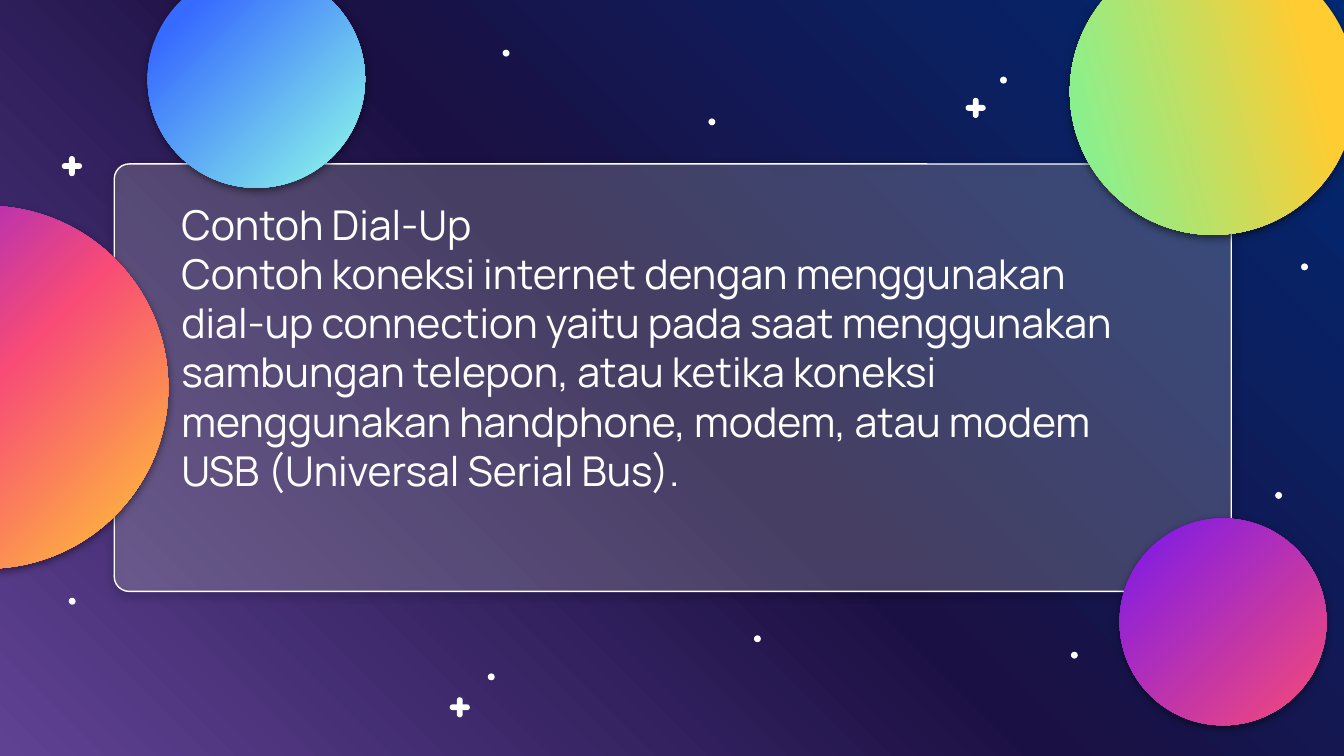
from lxml import etree
from pptx import Presentation
from pptx import util as u
from pptx.dml.color import RGBColor
from pptx.enum import shapes, text
from pptx.oxml.ns import qn

WHITE = RGBColor(0xFF, 0xFF, 0xFF)
BLACK = RGBColor(0x00, 0x00, 0x00)
PLUM = RGBColor(0x60, 0x42, 0x93)
NIGHT = RGBColor(0x1B, 0x10, 0x43)
NAVY = RGBColor(0x00, 0x2A, 0x73)
VIOLET = RGBColor(0x78, 0x18, 0xED)
PINK = RGBColor(0xF8, 0x4B, 0x76)
GOLD = RGBColor(0xFF, 0xCC, 0x32)
MINT = RGBColor(0x59, 0xFF, 0xB3)
BLUE = RGBColor(0x37, 0x6A, 0xFF)
AQUA = RGBColor(0x90, 0xFF, 0xE7)

KIND = shapes.MSO_SHAPE
DOT, ARM, BAR = 0.13, 0.38, 0.11
DOTS = [(1.3, 11.3), (20.24, 12.32), (24.1, 9.3), (18.9, 1.45), (9.5, 0.94),
        (13.39, 2.24), (14.25, 12.01), (9.22, 12.73), (24.59, 4.98)]
PLUSES = [(8.5, 13.18), (1.17, 2.95), (18.25, 1.85)]
COPY = [
    "Contoh Dial-Up",
    "Contoh koneksi internet dengan menggunakan dial-up connection yaitu pada "
    "saat menggunakan sambungan telepon, atau ketika koneksi menggunakan "
    "handphone, modem, atau modem USB (Universal Serial Bus).",
]


def node(root, tag, **attrs):
    """Append a drawing element with the given attributes."""
    return etree.SubElement(root, qn(tag), {k: str(v) for k, v in attrs.items()})


def blend(fill, root, stops, angle):
    """Give a fill gradient stops and a clockwise angle."""
    fill.gradient()
    fill.gradient_angle = (360 - angle) % 360
    ramp = next(root.iter(qn("a:gsLst")))
    for stop in list(ramp):
        ramp.remove(stop)
    for pos, color in stops:
        node(node(ramp, "a:gs", pos=pos * 1000), "a:srgbClr", val=color)


def shade(shape):
    """Add a soft shadow below a shape."""
    shape.shadow.inherit = False
    glow = node(next(shape.element.iter(qn("a:effectLst"))), "a:outerShdw",
                blurRad=u.Pt(4.5), dist=u.Pt(1.5), dir=5400000,
                algn="bl", rotWithShape=0)
    node(node(glow, "a:srgbClr", val=BLACK), "a:alpha", val=50000)


def form(tree, kind, box, round=None):
    """Place a plain white shape in a box given in centimetres."""
    shape = tree.add_shape(kind, *map(u.Cm, box))
    shape.shadow.inherit = False
    shape.fill.solid()
    shape.fill.fore_color.rgb = WHITE
    shape.line.fill.background()
    if round is not None:
        shape.adjustments[0] = round
    return shape


def panel(slide, box):
    """Draw the translucent rounded panel."""
    shape = form(slide.shapes, KIND.ROUNDED_RECTANGLE, box, 0.035)
    node(next(shape.element.iter(qn("a:srgbClr"))), "a:alpha", val=20000)
    shape.line.color.rgb = WHITE
    shape.line.width = u.Pt(0.75)
    shade(shape)


def plus(slide, box):
    """Draw a plus from two crossed bars centred in a box."""
    x, y, w, h = box
    group = slide.shapes.add_group_shape()
    for bar in ((x + (w - BAR) / 2, y, BAR, h), (x, y + (h - BAR) / 2, w, BAR)):
        form(group.shapes, KIND.ROUNDED_RECTANGLE, bar, 0.5)


def stars(slide):
    """Scatter the dots and pluses."""
    for x, y in DOTS:
        form(slide.shapes, KIND.OVAL, (x, y, DOT, DOT))
    for x, y in PLUSES:
        plus(slide, (x, y, ARM, ARM))


def orb(slide, box, stops, turn=0):
    """Draw a shaded gradient circle."""
    shape = form(slide.shapes, KIND.OVAL, box)
    blend(shape.fill, shape.element, stops, 45)
    shape.rotation = turn
    shade(shape)


def body(slide, box):
    """Write the heading and its explanation."""
    frame = slide.shapes.add_textbox(*map(u.Cm, box)).text_frame
    look = {"word_wrap": True, "vertical_anchor": text.MSO_ANCHOR.MIDDLE}
    look.update({f"margin_{s}": u.Cm(0.25) for s in ("left", "right", "top", "bottom")})
    for key, val in look.items():
        setattr(frame, key, val)
    frame.text = "\n".join(COPY)
    for para in frame.paragraphs:
        para.line_spacing = u.Pt(26.4)
        for key, val in {"size": u.Pt(22), "name": "Manrope"}.items():
            setattr(para.runs[0].font, key, val)
        para.runs[0].font.color.rgb = WHITE


def main():
    """Build and save the slide."""
    deck = Presentation()
    deck.slide_width, deck.slide_height = u.Cm(25.4), u.Cm(14.29)
    slide = deck.slides.add_slide(deck.slide_layouts[6])
    blend(slide.background.fill, slide.element,
          [(0, PLUM), (50, NIGHT), (100, NAVY)], 315)
    panel(slide, (2.16, 3.1, 21.11, 8.08))
    stars(slide)
    orb(slide, (-3.68, 3.89, 6.86, 6.86), [(0, VIOLET), (50, PINK), (100, GOLD)])
    body(slide, (3.18, 4.5, 18.59, 4.11))
    orb(slide, (20.22, -0.97, 5.41, 5.41), [(0, GOLD), (28, GOLD), (100, MINT)], 120)
    orb(slide, (21.16, 9.8, 3.91, 3.91), [(0, VIOLET), (100, PINK)])
    orb(slide, (2.79, -0.56, 4.11, 4.11), [(0, BLUE), (18, BLUE), (100, AQUA)])
    deck.save("out.pptx")


if __name__ == "__main__":
    main()
